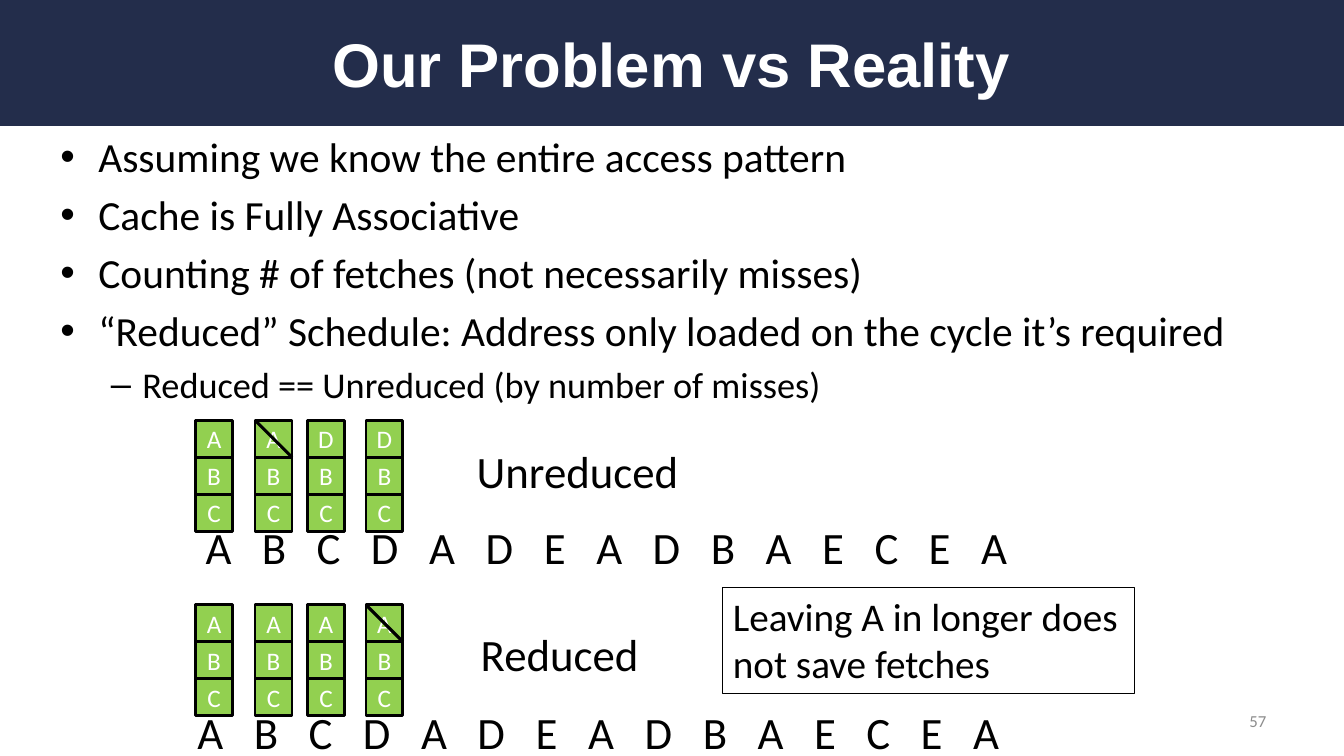
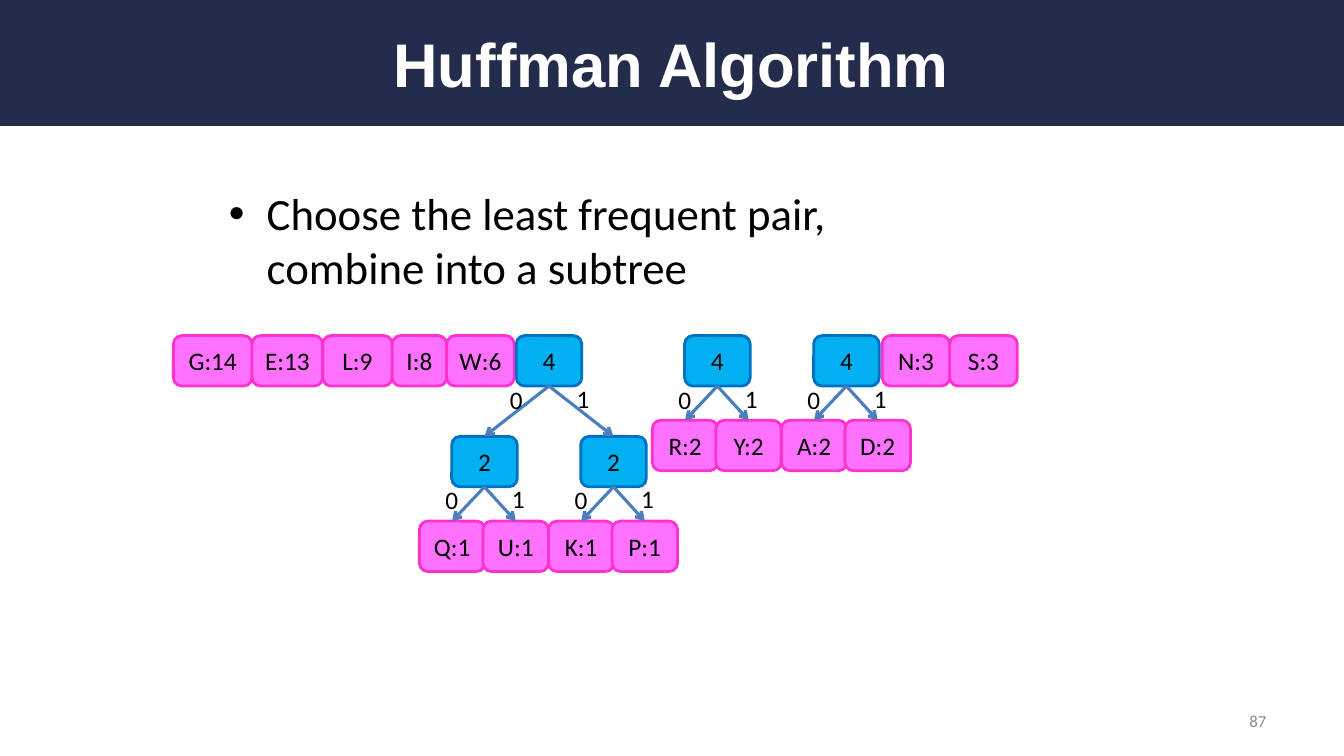
"""Build two lecture slides on cache schedules and the Huffman algorithm."""
from itertools import accumulate

from lxml import etree
from pptx import Presentation
from pptx import util as u
from pptx.dml.color import RGBColor
from pptx.enum import shapes, text
from pptx.oxml import ns

COLORS = {
    "band": "232D4B", "white": "FFFFFF", "ink": "000000", "number": "8C8C8C",
    "cell": "92D050", "leaf": "FF71FF", "leaf_edge": "FF33CC",
    "node": "00B0F0", "node_edge": "0070C0", "arrow": "4B7EBC",
}
LEFT, CENTER, RIGHT = (text.PP_ALIGN.LEFT, text.PP_ALIGN.CENTER, text.PP_ALIGN.RIGHT)
TOP, MIDDLE = text.MSO_ANCHOR.TOP, text.MSO_ANCHOR.MIDDLE
RECT, ROUNDED = shapes.MSO_SHAPE.RECTANGLE, shapes.MSO_SHAPE.ROUNDED_RECTANGLE
TITLE_FONT = {"name": "Arial", "size": u.Pt(44), "bold": True}
FRAME = {"word_wrap": True, "auto_size": text.MSO_AUTO_SIZE.NONE}
NO_INSETS = dict.fromkeys(
    ("margin_left", "margin_right", "margin_top", "margin_bottom"), 0)

ACCESSES = "ABCDADEADBAECEA"
ACCESS_SIZE = 32
LETTER_EMS = {"A": 0.58, "B": 0.54, "C": 0.53, "D": 0.62, "E": 0.49}
GAP_EMS = 0.68
CELL = 1.1 / 3
STACK_LEFTS = (1.94, 2.53, 3.05, 3.63)
NODE_WIDTH, NODE_HEIGHT = 0.65, 0.5
ROOT_TOP = 3.33


def color(key):
    """Return the named colour."""
    return RGBColor.from_string(COLORS[key])


def apply(target, values):
    """Set every attribute of a dict of format values."""
    for attribute, value in values.items():
        setattr(target, attribute, value)


def place(shape, at):
    """Move and size a shape to a box in inches."""
    apply(shape, dict(zip(("left", "top", "width", "height"), map(u.Inches, at))))


def write(frame, lines, font, ink="ink", align=LEFT, anchor=TOP):
    """Fill a text frame with equally formatted paragraphs."""
    apply(frame, {**FRAME, "vertical_anchor": anchor})
    frame.text = "\n".join(lines)
    for paragraph in frame.paragraphs:
        paragraph.alignment = align
        for run in paragraph.runs:
            apply(run.font, font)
            run.font.color.rgb = color(ink)


def calibri(size):
    """Return the body font at a size in points."""
    return {"name": "Calibri", "size": u.Pt(size)}


def add_label(parent, at, words, size, **layout):
    """Add a plain text box."""
    label = parent.add_textbox(*map(u.Inches, at))
    write(label.text_frame, [words], calibri(size), **layout)
    return label


def add_box(parent, preset, at, fill=None, edge=None, weight=2):
    """Add a preset shape with a chosen fill and outline."""
    box = parent.add_shape(preset, *map(u.Inches, at))
    box.shadow.inherit = False
    if fill:
        box.fill.solid()
        box.fill.fore_color.rgb = color(fill)
    else:
        box.fill.background()
    if edge:
        box.line.color.rgb = color(edge)
        box.line.width = u.Pt(weight)
    else:
        box.line.fill.background()
    return box


def add_tile(parent, preset, at, words, fill, edge, ink="ink"):
    """Add a box holding a short centred text."""
    tile = add_box(parent, preset, at, fill, edge)
    apply(tile.text_frame, NO_INSETS)
    write(tile.text_frame, [words], calibri(18), ink, CENTER, MIDDLE)
    return tile


def add_line(parent, start, end, ink, arrow=False):
    """Add a straight line, with an arrowhead at its end if wanted."""
    line = parent.add_connector(
        shapes.MSO_CONNECTOR.STRAIGHT, *map(u.Inches, (*start, *end)))
    line.line.color.rgb = color(ink)
    line.line.width = u.Pt(2.25)
    properties = line.element.spPr
    if arrow:
        etree.SubElement(properties.find(ns.qn("a:ln")), ns.qn("a:tailEnd"), type="arrow")
    etree.SubElement(properties, ns.qn("a:effectLst"))
    return line


def add_band(slide):
    """Put the title band on the layout of a slide."""
    band = add_box(slide.shapes, RECT, (0, 0, 13.33, 1.25), "band")
    slide.slide_layout.shapes.element.insert(2, band.element)


def add_slide(deck, title, title_at, number):
    """Add a slide with its title and number."""
    slide = deck.slides.add_slide(deck.slide_layouts[1])
    place(slide.shapes.title, title_at)
    write(slide.shapes.title.text_frame, [title], TITLE_FONT, "white", CENTER, MIDDLE)
    add_label(slide.shapes, (9.55, 6.95, 3.11, 0.4), number, 12,
              ink="number", align=RIGHT, anchor=MIDDLE)
    return slide


def fill_body(slide, at, lines, size, sub_lines=(), sub_size=None):
    """Fill the body placeholder with bullets and second-level bullets."""
    body = slide.placeholders[1]
    place(body, at)
    write(body.text_frame, [*lines, *sub_lines], calibri(size), anchor=MIDDLE)
    paragraphs = body.text_frame.paragraphs
    paragraphs[0].space_before = u.Pt(0)
    for paragraph in paragraphs[len(lines):]:
        paragraph.level = 1
        paragraph.runs[0].font.size = u.Pt(sub_size)


def add_accesses(slide, left, top):
    """Write the access pattern with equal gaps between its letters."""
    row = add_label(slide.shapes, (left, top, 8.23, 0.64),
                    "\t".join(ACCESSES), ACCESS_SIZE)
    properties = row.text_frame.paragraphs[0]._p.get_or_add_pPr()
    stops = etree.SubElement(properties, ns.qn("a:tabLst"))
    for ems in accumulate(LETTER_EMS[letter] + GAP_EMS for letter in ACCESSES[:-1]):
        position = u.Pt(ems * ACCESS_SIZE)
        etree.SubElement(stops, ns.qn("a:tab"), pos=str(int(position)), algn="l")


def add_schedule(slide, top, stacks, evicted):
    """Draw the cache contents per cycle and strike out the evicted address."""
    for left, addresses in zip(STACK_LEFTS, stacks):
        stack = slide.shapes.add_group_shape().shapes
        for row, address in enumerate(addresses):
            add_tile(stack, RECT, (left, top + row * CELL, CELL, CELL),
                     address, "cell", "ink", "white")
    left = STACK_LEFTS[evicted]
    add_line(slide.shapes, (left, top), (left + CELL, top + CELL), "ink")


def add_leaf(parent, left, top, words, width=NODE_WIDTH):
    """Add a symbol with its frequency."""
    return add_tile(parent, ROUNDED, (left, top, width, NODE_HEIGHT),
                    words, "leaf", "leaf_edge")


def add_leaf_row(slide, left, leaves):
    """Add symbols side by side."""
    for words, width in leaves:
        add_leaf(slide.shapes, left, ROOT_TOP, words, width)
        left += width


def add_tree(parent, left, top, tree):
    """Draw a tree of (total, left branch, right branch) and return its root."""
    if isinstance(tree, str):
        return add_leaf(parent, left, top, tree)
    total, *branches = tree
    shifts, drop = ((-0.32, 0.31), 0.84) if isinstance(branches[0], str) else ((-0.64, 0.64), 1)
    children = [add_tree(parent, left + shift, top + drop, branch)
                for shift, branch in zip(shifts, branches)]
    root = add_tile(parent, ROUNDED, (left, top, NODE_WIDTH, NODE_HEIGHT),
                    total, "node", "node_edge")
    for bit, (child, offset) in enumerate(zip(children, (-0.16, 0.5))):
        arrow = add_line(parent, (left, top), (left, top), "arrow", arrow=True)
        arrow.begin_connect(root, 2)
        arrow.end_connect(child, 0)
        add_label(parent, (left + offset, top + 0.43 - bit * 0.01, 0.4, 0.4), str(bit), 18)
    return root


def build_cache_slide(deck):
    """Build the slide comparing unreduced and reduced schedules."""
    slide = add_slide(deck, "Our Problem vs Reality", (2.16, 0, 9, 1.25), "57")
    add_band(slide)
    fill_body(slide, (0.5, 1.26, 12.33, 2.8), [
        "Assuming we know the entire access pattern",
        "Cache is Fully Associative",
        "Counting # of fetches (not necessarily misses)",
        "“Reduced” Schedule: Address only loaded on the cycle it’s required",
    ], 29.6, ["Reduced == Unreduced (by number of misses)"], 25.9)
    add_accesses(slide, 1.94, 5.11)
    add_accesses(slide, 1.86, 6.94)
    add_schedule(slide, 4.17, ("ABC", "ABC", "DBC", "DBC"), evicted=1)
    add_schedule(slide, 6, ("ABC",) * 4, evicted=3)
    add_label(slide.shapes, (4.63, 4.35, 2.4, 0.64), "Unreduced", ACCESS_SIZE)
    add_label(slide.shapes, (4.67, 6.17, 2.4, 0.64), "Reduced", ACCESS_SIZE)
    remark = add_box(slide.shapes, RECT, (7.17, 5.83, 4.08, 1.05), edge="ink", weight=0.75)
    write(remark.text_frame, ["Leaving A in longer does not save fetches"], calibri(28))


def build_huffman_slide(deck):
    """Build the slide showing the forest of Huffman subtrees."""
    slide = add_slide(deck, "Huffman Algorithm", (0.66, 0.16, 12, 0.92), "87")
    fill_body(slide, (2.17, 1.75, 7.4, 1.25),
              ["Choose the least frequent pair, combine into a subtree"], 32)
    add_leaf_row(slide, 1.72, (("G:14", 0.78), ("E:13", 0.7), ("L:9", 0.69),
                               ("I:8", 0.54), ("W:6", 0.67)))
    add_leaf_row(slide, 8.75, (("N:3", 0.67), ("S:3", 0.67)))
    forest = (
        (5.12, ("4", ("2", "Q:1", "U:1"), ("2", "K:1", "P:1"))),
        (6.79, ("4", "R:2", "Y:2")),
        (8.07, ("4", "A:2", "D:2")),
    )
    for left, tree in forest:
        add_tree(slide.shapes.add_group_shape().shapes, left, ROOT_TOP, tree)


def main():
    """Build and save the deck."""
    deck = Presentation()
    apply(deck, {"slide_width": u.Inches(13.33), "slide_height": u.Inches(7.5)})
    build_cache_slide(deck)
    build_huffman_slide(deck)
    deck.save("out.pptx")


if __name__ == "__main__":
    main()
